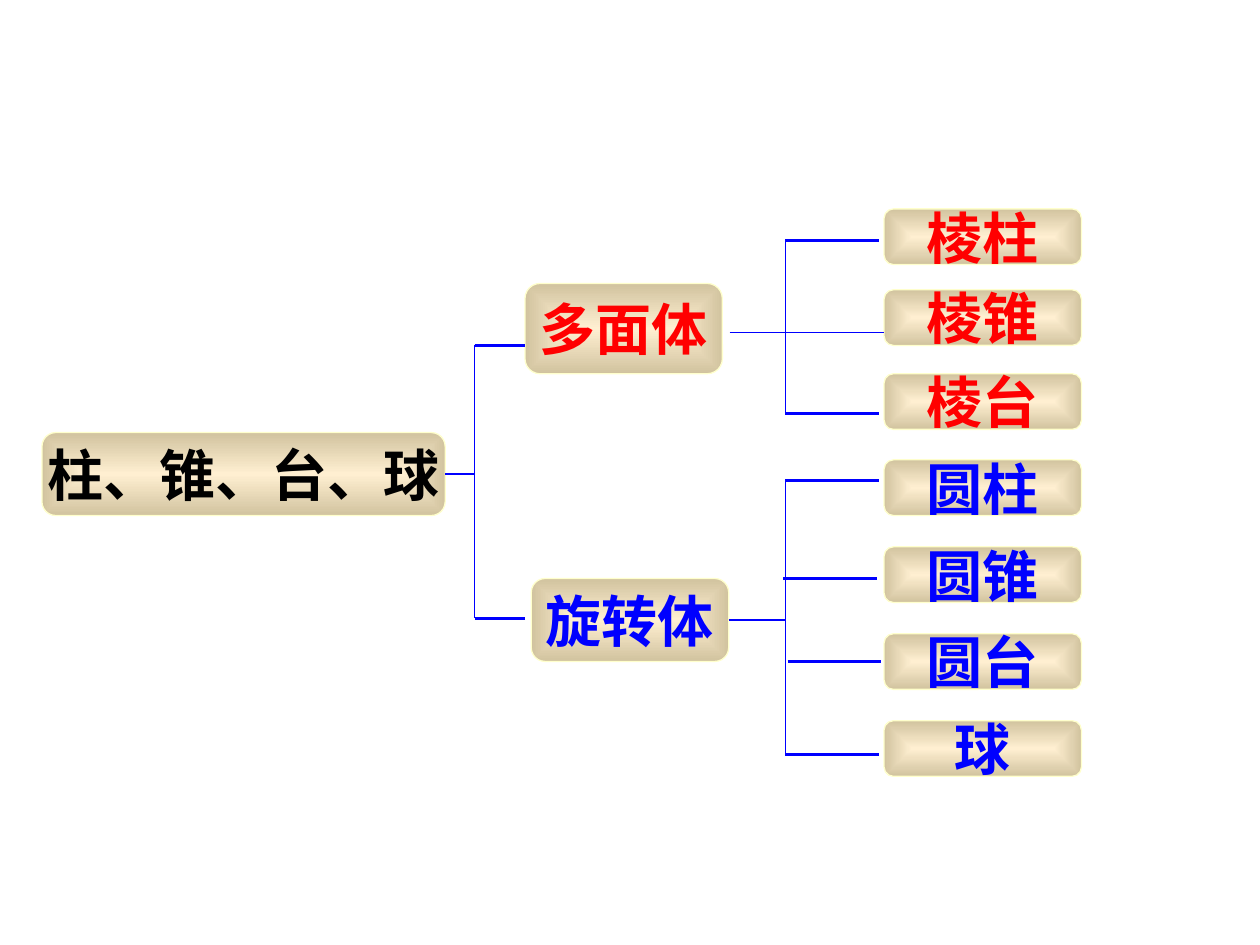
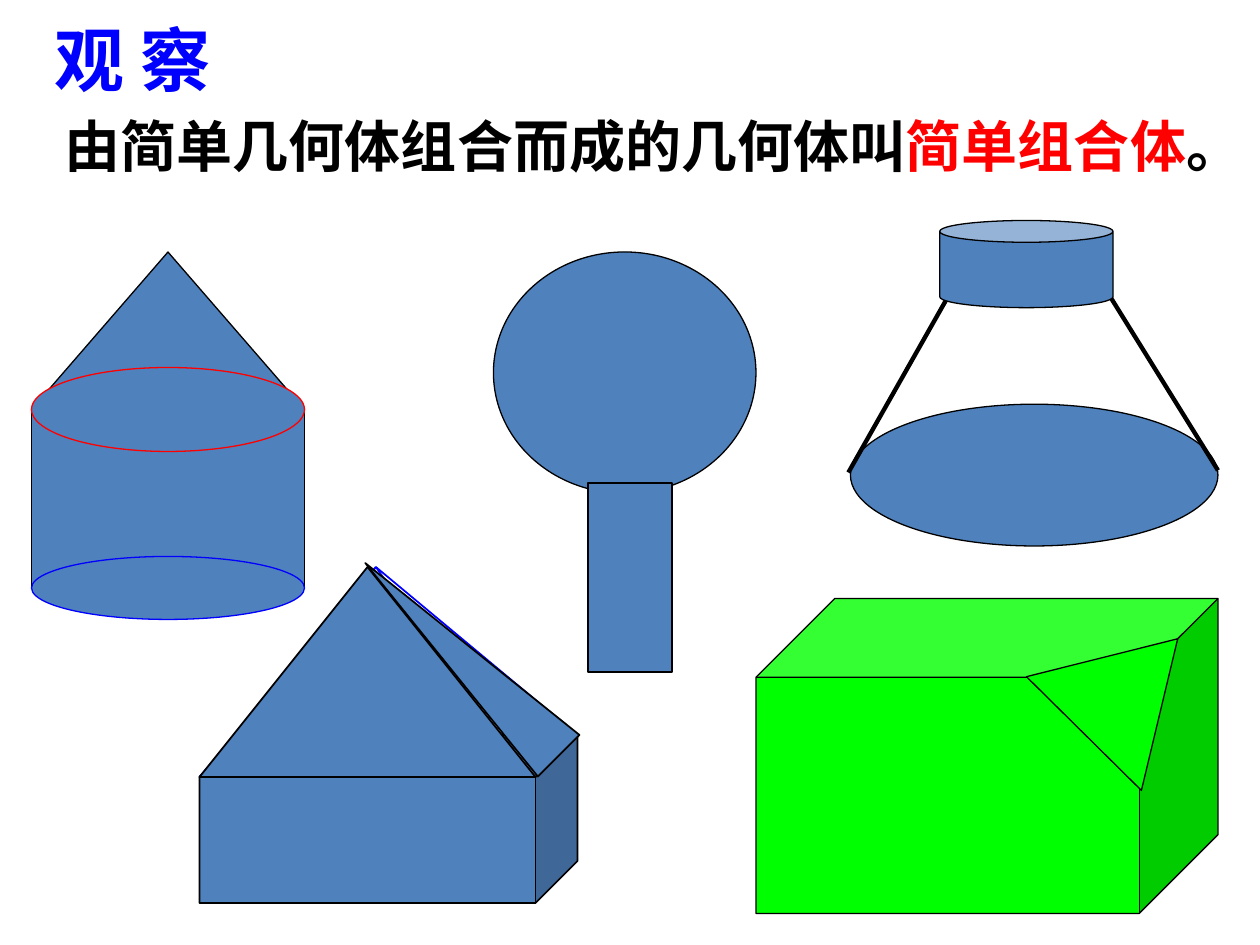
from lxml.etree import SubElement
from pptx import Presentation
from pptx.dml.color import RGBColor
from pptx.enum.shapes import MSO_CONNECTOR, MSO_SHAPE
from pptx.enum.text import MSO_ANCHOR, MSO_AUTO_SIZE, PP_ALIGN
from pptx.oxml.ns import qn
from pptx.util import Inches, Pt

COLS, ROWS = 120, 90
WIDE, HIGH = Inches(10), Inches(7.5)
RED, BLUE, BLACK = "FF0000", "0000FF", "000000"
STEEL, GREEN = "4F81BD", "00FF00"
GLOW, SAND, RIM = "FFEFD1", "D1C39F", "FFFFCC"

LEFT, LONG, TALL = 84.2, 18.8, 5.3
FLAT = [("棱柱", 19.9), ("棱锥", 27.6), ("棱台", 35.6)]
ROUND = ["圆柱", "圆锥", "圆台", "球"]
FIRST, STEP = 43.8, 8.28
LEAVES = [(word, RED, (LEFT, top, LONG, TALL)) for word, top in FLAT]
LEAVES += [(word, BLUE, (LEFT, FIRST + i * STEP, LONG, TALL))
           for i, word in enumerate(ROUND)]
POLY = ("多面体", RED, (50, 27, LONG, 8.6))
SPIN = ("旋转体", BLUE, (50.6, 55.1, LONG, 7.9))
ROOT = ("柱、锥、台、球", BLACK, (4, 41.2, 38.4, 7.9))

FORKS = [
    (45.2, 4.8, [(0, 32.9), (0, 58.9)]),
    (74.8, 8.9, [(0, 22.9), (0, 39.4)]),
    (74.8, 8.9, [(0, 45.8), (-0.2, 55.1), (0.2, 63), (0, 71.9)]),
]

TITLE = [("观 察", BLUE)]
CLAIM = [("由简单几何体组合而成的几何体叫", BLACK),
         ("简单组合体", RED), ("。", BLACK)]

RECT, OVAL, CONE = MSO_SHAPE.RECTANGLE, MSO_SHAPE.OVAL, MSO_SHAPE.ISOSCELES_TRIANGLE
CAN, CUBE, EDGE = MSO_SHAPE.CAN, MSO_SHAPE.CUBE, None
APEX = (35.8, 54)
FEET = [(24.1, 70), (19, 74), (55, 70), (49.8, 74)]
SOLIDS = [
    [(RECT, (3, 39, 26, 17), STEEL, BLACK, 0.75, 0),
     (OVAL, (3, 53, 26, 6), STEEL, BLUE, 0.75, 0),
     (CONE, (3, 24, 26, 15), STEEL, BLACK, 0.75, 0),
     (OVAL, (3, 35, 26, 8), STEEL, RED, 0.75, 0)],
    [(OVAL, (47, 24, 25, 23), STEEL, BLACK, 0.75, 0),
     (RECT, (56, 46, 8, 18), STEEL, BLACK, 0.75, 0)],
    [(OVAL, (81, 38.5, 35, 13.5), STEEL, BLACK, 0.75, 0),
     (EDGE, (91, 27, 80.8, 45), None, BLACK, 2.5, 0),
     (EDGE, (105.7, 28.2, 116, 44.8), None, BLACK, 2.5, 0),
     (CAN, (89.5, 21, 16.5, 8.3), STEEL, BLACK, 0.75, 0)],
    [(CUBE, (72, 57, 44, 30), GREEN, BLACK, 0.75, 0),
     (CONE, (100, 59, 15.4, 12.7), GREEN, BLACK, 0.75, 44.7)],
    [(CUBE, (19, 70, 36, 16), STEEL, BLACK, 1, 0),
     *[(EDGE, APEX + foot, None, BLUE, 1, 0) for foot in FEET],
     (CONE, (19, 54, 32, 20), STEEL, BLACK, 1, 0),
     (CONE, (41.2, 49.8, 5.6, 26), STEEL, BLACK, 1, 314.9)],
]


def tint(code):
    return RGBColor.from_string(code)


def grid(spot):
    x, y, w, h = spot
    return [int(v) for v in (x * WIDE / COLS, y * HIGH / ROWS,
                             w * WIDE / COLS, h * HIGH / ROWS)]


def ink(line, code, size):
    line.color.rgb = tint(code)
    line.width = Pt(size)


def write(frame, parts, face, size):
    para = frame.paragraphs[0]
    font = para.font
    font.name, font.size, font.bold = face, Pt(size), True
    props = para._p.pPr.find(qn("a:defRPr"))
    SubElement(props, qn("a:ea")).set("typeface", face)
    for word, code in parts:
        run = para.add_run()
        run.text = word
        if len(parts) > 1:
            run.font.color.rgb = tint(code)
    if len(parts) == 1:
        font.color.rgb = tint(parts[0][1])
    return para


def edge(shapes, spot, code, size):
    wire = shapes.add_connector(MSO_CONNECTOR.STRAIGHT, *grid(spot))
    ink(wire.line, code, size)
    SubElement(wire._element.spPr, qn("a:effectLst"))
    return wire


def body(shapes, kind, spot, code, size):
    shape = shapes.add_shape(kind, *grid(spot))
    shape.shadow.inherit = False
    ink(shape.line, code, size)
    return shape


def node(slide, word, code, spot):
    box = body(slide.shapes, MSO_SHAPE.ROUNDED_RECTANGLE, spot, RIM, 0.75)
    box.fill.gradient()
    for stop, shade in zip(box.fill.gradient_stops, (GLOW, SAND)):
        stop.color.rgb = tint(shade)
    grad = box._element.spPr.find(qn("a:gradFill"))
    grad.remove(grad.find(qn("a:lin")))
    glow = SubElement(grad, qn("a:path"))
    glow.set("path", "rect")
    core = SubElement(glow, qn("a:fillToRect"))
    for side in "ltrb":
        core.set(side, "50000")
    frame = box.text_frame
    frame.word_wrap = False
    frame.vertical_anchor = MSO_ANCHOR.MIDDLE
    write(frame, [(word, code)], "Arial", 32).alignment = PP_ALIGN.CENTER
    return box


def label(slide, parts, spot, face, size):
    frame = slide.shapes.add_textbox(*grid(spot)).text_frame
    frame.word_wrap = True
    write(frame, parts, face, size)
    return frame


def draw_tree(slide):
    for leaf in LEAVES:
        node(slide, *leaf)
    node(slide, *POLY)
    spin = node(slide, *SPIN)
    root = node(slide, *ROOT)
    shapes = slide.shapes
    for x, reach, arms in FORKS:
        for shift, y in arms:
            edge(shapes, (x + shift, y, x + shift + reach, y), BLUE, 1.75)
        edge(shapes, (x, arms[0][1], x, arms[-1][1]), BLUE, 0.75)
    edge(shapes, (69.5, 31.7, LEFT, 31.7), BLUE, 0.75)
    for box, (x, y, w, h), end in ((root, ROOT[2], FORKS[0][0]),
                                   (spin, SPIN[2], FORKS[2][0])):
        mid = y + h / 2
        edge(shapes, (x + w, mid, end, mid), BLUE, 0.75).begin_connect(box, 3)


def draw_solids(slide):
    title = label(slide, TITLE, (4, 1, 18, 9.2), "Noto Sans CJK JP", 40)
    title.auto_size = MSO_AUTO_SIZE.SHAPE_TO_FIT_TEXT
    for solid in SOLIDS:
        group = slide.shapes.add_group_shape().shapes
        for kind, spot, fill, code, size, turn in solid:
            if kind is EDGE:
                edge(group, spot, code, size)
                continue
            part = body(group, kind, spot, code, size)
            part.fill.solid()
            part.fill.fore_color.rgb = tint(fill)
            part.rotation = turn
    label(slide, CLAIM, (5, 10, 118, 9.5), "Noto Sans CJK SC", 32)


def main():
    deck = Presentation()
    deck.slide_width, deck.slide_height = WIDE, HIGH
    for draw in (draw_tree, draw_solids):
        draw(deck.slides.add_slide(deck.slide_layouts[6]))
    deck.save("out.pptx")


if __name__ == "__main__":
    main()
